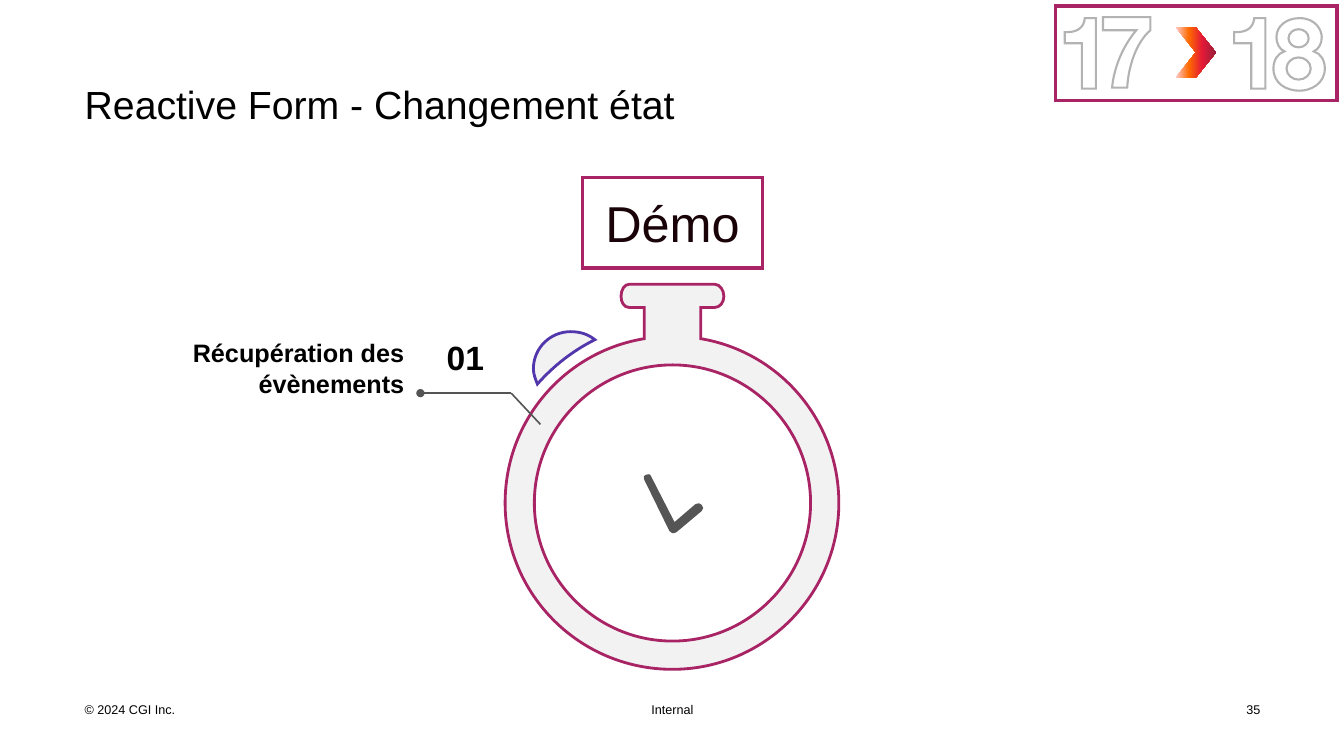
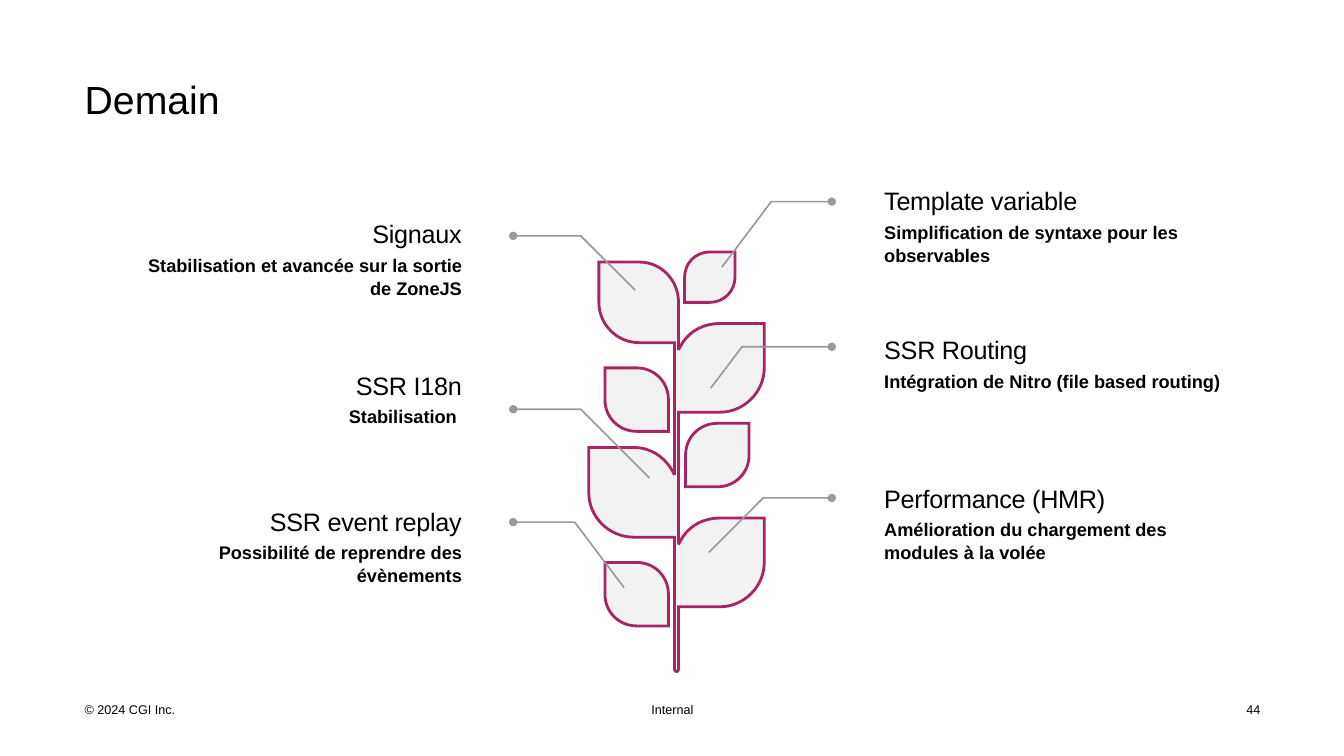
from pptx import Presentation
from pptx.dml.color import RGBColor
from pptx.enum.shapes import MSO_CONNECTOR as CONNECTOR, MSO_SHAPE as SHAPE
from pptx.enum.text import MSO_ANCHOR as ANCHOR, MSO_AUTO_SIZE as AUTO_SIZE, PP_ALIGN as ALIGN
from pptx.oxml.ns import qn
from pptx.oxml.xmlchemy import OxmlElement
from pptx.util import Inches, Pt

COLORS = {
    "text": "000000", "demo": "190308", "white": "FFFFFF", "pale": "F2F2F2",
    "plum": "A82465", "violet": "5236AB", "dark": "555555", "leader": "999999",
    "digit": "B3B3B3",
}
FONT = "Arial"
MARGIN, CONTENT_WIDTH = 0.84, 11.66
CHEVRON_STOPS = [(0, "FFCDD2"), (33, "FF6A00"), (66, "E31937"), (100, "991F3D")]


def ellipse(cx, cy, rx, ry):
    """Contour made of four cubic curves."""
    kx, ky = rx * 0.55, ry * 0.55
    return [
        (cx, cy - ry),
        (cx + kx, cy - ry, cx + rx, cy - ky, cx + rx, cy),
        (cx + rx, cy + ky, cx + kx, cy + ry, cx, cy + ry),
        (cx - kx, cy + ry, cx - rx, cy + ky, cx - rx, cy),
        (cx - rx, cy - ky, cx - kx, cy - ry, cx, cy - ry),
    ]


def leaf(stem_x, top, size, direction):
    """Square contour with two round corners; direction is -1 left or 1 right of the stem."""
    def at(across, down):
        return stem_x + direction * size * across, top + size * down

    return [
        at(1, 0), at(0.5, 0), (*at(0.22, 0), *at(0, 0.22), *at(0, 0.5)), at(0, 1),
        at(0.5, 1), (*at(0.78, 1), *at(1, 0.78), *at(1, 0.5)), at(1, 0),
    ]


# Contours: a pair is a straight step, six numbers are a cubic curve.
STOPWATCH_BUTTON = [
    (5.9, 3.37), (5.84, 3.32, 5.76, 3.29, 5.66, 3.29),
    (5.46, 3.29, 5.29, 3.45, 5.29, 3.66), (5.29, 3.71, 5.31, 3.76, 5.33, 3.81),
    (5.49, 3.63, 5.68, 3.48, 5.9, 3.37),
]
STOPWATCH_CASE = [
    (6.67, 6.64), (7.58, 6.64, 8.32, 5.9, 8.32, 4.99),
    (8.32, 4.17, 7.73, 3.49, 6.95, 3.36), (6.95, 3.05), (7.09, 3.05),
    (7.14, 3.05, 7.18, 3, 7.18, 2.94), (7.18, 2.88, 7.14, 2.82, 7.09, 2.82),
    (6.24, 2.82), (6.19, 2.82, 6.16, 2.88, 6.16, 2.94),
    (6.16, 3, 6.19, 3.05, 6.24, 3.05), (6.39, 3.05), (6.39, 3.36),
    (5.6, 3.49, 5.01, 4.17, 5.01, 4.99), (5.01, 5.9, 5.75, 6.64, 6.67, 6.64),
]
STOPWATCH_DIAL = ellipse(6.67, 4.99, 1.37, 1.37)
STOPWATCH_HANDS = [
    (6.9, 5), (6.69, 5.18), (6.46, 4.73), (6.45, 4.7, 6.43, 4.7, 6.41, 4.71),
    (6.38, 4.72, 6.38, 4.74, 6.39, 4.76), (6.64, 5.27),
    (6.65, 5.29, 6.68, 5.3, 6.71, 5.28), (6.96, 5.07),
    (6.98, 5.05, 6.98, 5.03, 6.96, 5.01), (6.95, 4.99, 6.92, 4.99, 6.9, 5),
]
ONE = [
    (10.87, 0.88), (10.73, 0.88), (10.73, 0.43), (10.56, 0.43), (10.56, 0.32),
    (10.58, 0.32), (10.68, 0.32, 10.75, 0.28, 10.76, 0.18), (10.87, 0.18),
]
SEVEN = [
    (11.18, 0.87), (11.03, 0.87), (11.05, 0.67, 11.13, 0.47, 11.27, 0.3),
    (10.94, 0.3), (10.94, 0.17), (11.41, 0.17), (11.41, 0.3),
    (11.26, 0.43, 11.19, 0.68, 11.18, 0.87),
]
EIGHT = [
    (12.89, 0.9), (12.76, 0.9, 12.63, 0.83, 12.63, 0.68),
    (12.63, 0.6, 12.67, 0.53, 12.74, 0.51), (12.69, 0.49, 12.66, 0.43, 12.66, 0.37),
    (12.66, 0.25, 12.77, 0.18, 12.89, 0.18), (13.05, 0.18, 13.11, 0.3, 13.11, 0.37),
    (13.11, 0.43, 13.08, 0.49, 13.03, 0.51), (13.1, 0.53, 13.14, 0.6, 13.14, 0.68),
    (13.14, 0.83, 13, 0.9, 12.89, 0.9),
]
EIGHT_HOLES = [ellipse(12.88, 0.68, 0.12, 0.11), ellipse(12.88, 0.38, 0.1, 0.09)]
SECOND_ONE_SHIFT = 1.68

STEM = [
    (5.94, 2.6), (6.34, 2.6), (6.56, 2.6, 6.73, 2.78, 6.73, 3), (6.73, 3.47),
    (6.77, 3.4), (6.85, 3.28, 6.98, 3.21, 7.14, 3.21), (7.58, 3.21), (7.58, 3.65),
    (7.58, 3.89, 7.38, 4.09, 7.14, 4.09), (6.73, 4.09), (6.73, 5.4), (6.77, 5.33),
    (6.85, 5.21, 6.98, 5.14, 7.14, 5.14), (7.58, 5.14), (7.58, 5.58),
    (7.58, 5.82, 7.38, 6.02, 7.14, 6.02), (6.73, 6.02), (6.73, 6.64),
    (6.73, 6.67, 6.69, 6.67, 6.69, 6.64), (6.69, 5.33), (6.29, 5.33),
    (6.04, 5.33, 5.84, 5.13, 5.84, 4.89), (5.84, 4.44), (6.29, 4.44),
    (6.44, 4.44, 6.57, 4.52, 6.65, 4.64), (6.69, 4.71), (6.69, 3.4), (6.34, 3.4),
    (6.12, 3.4, 5.94, 3.22, 5.94, 3),
]
LOOSE_LEAVES = [
    leaf(6.63, 5.58, 0.63, -1), leaf(6.8, 4.2, 0.63, 1),
    leaf(6.63, 3.65, 0.63, -1), leaf(6.79, 2.5, 0.5, 1),
]
# side, top, height, heading, detail, leader from leaf to dot
TOPICS = [
    ("left", 2.17, 0.79, "Signaux", "Stabilisation et avancée sur la sortie de ZoneJS",
     [(6.3, 2.88), (5.76, 2.34), (5.09, 2.34)]),
    ("left", 3.67, 0.56, "SSR I18n", "Stabilisation ",
     [(6.44, 4.74), (5.76, 4.06), (5.09, 4.06)]),
    ("left", 5.02, 0.79, "SSR event replay", "Possibilité de reprendre des évènements",
     [(6.19, 5.83), (5.7, 5.18), (5.09, 5.18)]),
    ("right", 1.84, 0.79, "Template variable",
     "Simplification de syntaxe pour les observables",
     [(7.16, 2.65), (7.65, 2), (8.25, 2)]),
    ("right", 3.32, 0.56, "SSR Routing", "Intégration de Nitro (file based routing)",
     [(7.05, 3.85), (7.36, 3.44), (8.25, 3.44)]),
    ("right", 4.79, 0.79, "Performance (HMR)",
     "Amélioration du chargement des modules à la volée",
     [(7.03, 5.48), (7.57, 4.94), (8.25, 4.94)]),
]
TOPIC_COLUMNS = {"left": (1.29, 3.29, ALIGN.RIGHT), "right": (8.77, 3.47, ALIGN.LEFT)}


def rgb(name):
    return RGBColor.from_string(COLORS[name])


def box(left, top, width, height):
    return [Inches(n) for n in (left, top, width, height)]


def add_element(parent, tag, **attributes):
    child = OxmlElement(tag)
    for key, value in attributes.items():
        child.set(key, str(value))
    parent.append(child)
    return child


def write(frame, words, size=18, bold=False, color="text", align=ALIGN.LEFT,
          after=0, spacing=None, tracking=None):
    """Add one formatted paragraph, using the first one while it is empty."""
    first = frame.paragraphs[0]
    paragraph = frame.add_paragraph() if first.runs else first
    paragraph.alignment = align
    paragraph.space_before, paragraph.space_after = Pt(0), Pt(after)
    if spacing:
        paragraph.line_spacing = spacing
    run = paragraph.add_run()
    run.text = words
    font = run.font
    font.name, font.size, font.bold = FONT, Pt(size), bold
    font.color.rgb = rgb(color)
    if tracking:
        run._r.get_or_add_rPr().set("spc", str(round(tracking * 100)))


def prepare(frame, inset=0, anchor=ANCHOR.TOP):
    frame.word_wrap, frame.auto_size = True, AUTO_SIZE.NONE
    frame.vertical_anchor = anchor
    frame.margin_left = frame.margin_right = Inches(inset)
    frame.margin_top = frame.margin_bottom = Inches(inset)
    return frame


def text_frame(slide, *area, anchor=ANCHOR.TOP):
    return prepare(slide.shapes.add_textbox(*box(*area)).text_frame, anchor=anchor)


def paint(shape, fill=None, line=None, width=2):
    shape.shadow.inherit = False
    if fill:
        shape.fill.solid()
        shape.fill.fore_color.rgb = rgb(fill)
    else:
        shape.fill.background()
    if line:
        shape.line.color.rgb, shape.line.width = rgb(line), Pt(width)
        add_element(shape.line._get_or_add_ln(), "a:miter", lim=800000)
    else:
        shape.line.fill.background()
    return shape


def add_dot(shape):
    """End a line with a round dot."""
    add_element(shape.line._get_or_add_ln(), "a:tailEnd", type="oval")


def outline(slide, *contours, close=True, shift=0, **look):
    """Draw contours as one freeform, then bend the steps that are curves."""
    builder = None
    for contour in contours:
        ends = [(Inches(step[-2] + shift), Inches(step[-1])) for step in contour]
        if builder is None:
            builder = slide.shapes.build_freeform(*ends[0])
        else:
            builder.move_to(*ends[0])
        builder.add_line_segments(ends[1:], close=close)
    shape = builder.convert_to_shape()
    steps = [step for contour in contours for step in contour]
    drawn = [e for e in shape._element.iter(qn("a:moveTo"), qn("a:lnTo"), qn("a:close"))
             if e.tag != qn("a:close")]
    # A closed contour may repeat its start, so match steps contour by contour.
    position = 0
    for contour in contours:
        for step in contour:
            if len(step) == 6:
                curve = OxmlElement("a:cubicBezTo")
                for x, y in zip(step[::2], step[1::2]):
                    add_element(curve, "a:pt", x=Inches(x + shift) - shape.left,
                                y=Inches(y) - shape.top)
                line_step = drawn[position]
                line_step.getparent().replace(line_step, curve)
            position += 1
    return paint(shape, **look)


def straight_line(slide, start, end, color, width):
    line = slide.shapes.add_connector(CONNECTOR.STRAIGHT, *[Inches(n) for n in (*start, *end)])
    line.line.color.rgb, line.line.width = rgb(color), Pt(width)
    add_element(line._element.spPr, "a:effectLst")
    return line


def frame_rect(slide, *area):
    return paint(slide.shapes.add_shape(SHAPE.RECTANGLE, *box(*area)),
                 fill="white", line="plum", width=2.25)


def new_slide(prs, title, title_top, number):
    slide = prs.slides.add_slide(prs.slide_layouts[5])
    heading = slide.shapes.title
    heading.left, heading.top, heading.width, heading.height = box(
        MARGIN, title_top, CONTENT_WIDTH, 0.58)
    write(prepare(heading.text_frame), title, size=28)
    for left, width, words, align in (
        (MARGIN, 3, "© 2024 CGI Inc.", ALIGN.LEFT),
        (6.46, 0.45, "Internal", ALIGN.LEFT),
        (12.21, 0.29, number, ALIGN.RIGHT),
    ):
        write(text_frame(slide, left, 6.96, width, 0.15), words, size=9, align=align)
    return slide


def add_version_badge(slide):
    frame_rect(slide, 10.47, 0.06, 2.79, 0.94)
    look = {"line": "digit", "width": 1.5}
    outline(slide, ONE, **look)
    outline(slide, EIGHT, *EIGHT_HOLES, **look)
    outline(slide, ONE, shift=SECOND_ONE_SHIFT, **look)
    chevron = paint(slide.shapes.add_shape(SHAPE.CHEVRON, *box(11.66, 0.27, 0.4, 0.5)))
    chevron.fill.gradient()
    chevron.fill.gradient_angle = 0
    stops = chevron._element.spPr.find(".//" + qn("a:gsLst"))
    for stop in list(stops):
        stops.remove(stop)
    for position, value in CHEVRON_STOPS:
        add_element(add_element(stops, "a:gs", pos=position * 1000), "a:srgbClr", val=value)
    outline(slide, SEVEN, **look)


def build_demo(prs):
    slide = new_slide(prs, "Reactive Form - Changement état", 0.8, "35")
    outline(slide, STOPWATCH_BUTTON, fill="pale", line="violet")
    outline(slide, STOPWATCH_CASE, STOPWATCH_DIAL, fill="pale", line="plum")
    bend = (5.07, 3.9)
    straight_line(slide, (5.36, 4.21), bend, "dark", 1.15)
    add_dot(straight_line(slide, bend, (4.17, 3.9), "dark", 1.15))
    outline(slide, STOPWATCH_HANDS, fill="dark")
    write(text_frame(slide, 4.16, 3.29, 0.91, 0.45, anchor=ANCHOR.BOTTOM), "01",
          size=24, bold=True, align=ALIGN.CENTER)
    write(text_frame(slide, MARGIN, 3.35, 3.17, 1.38), "Récupération des évènements",
          bold=True, align=ALIGN.RIGHT, after=6)
    demo = frame_rect(slide, 5.78, 1.76, 1.78, 0.9)
    write(prepare(demo.text_frame, inset=0.12, anchor=ANCHOR.MIDDLE), "Démo",
          size=36, color="demo", align=ALIGN.CENTER)
    add_version_badge(slide)


def build_tomorrow(prs):
    slide = new_slide(prs, "Demain", 0.75, "44")
    outline(slide, *LOOSE_LEAVES, STEM, fill="pale", line="plum")
    for side, top, height, heading, detail, leader in TOPICS:
        left, width, align = TOPIC_COLUMNS[side]
        frame = text_frame(slide, left, top, width, height)
        write(frame, heading, align=align, after=3, tracking=-0.2)
        write(frame, detail, size=13, bold=True, align=align, spacing=1.05)
        add_dot(outline(slide, leader, close=False, line="leader", width=1.15))


def main():
    prs = Presentation()
    prs.slide_width, prs.slide_height = Inches(13.33), Inches(7.5)
    build_demo(prs)
    build_tomorrow(prs)
    prs.save("out.pptx")


if __name__ == "__main__":
    main()
